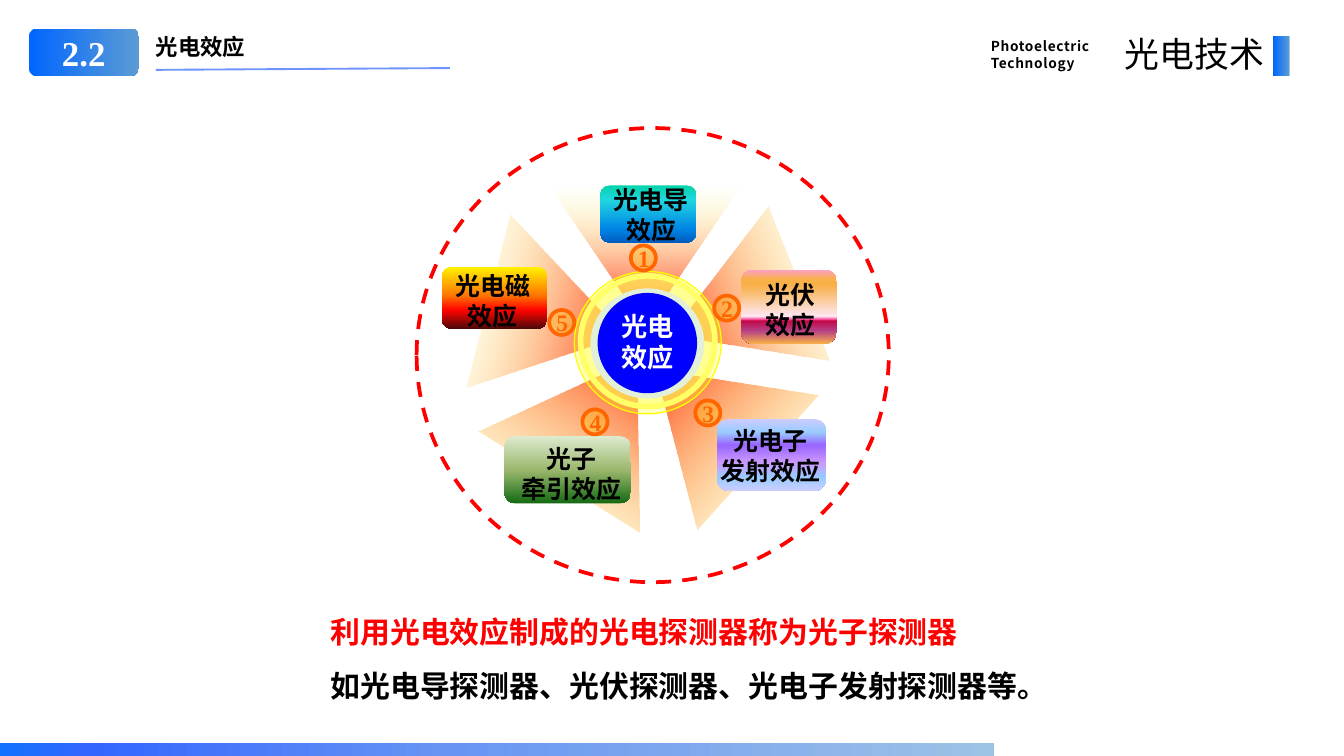
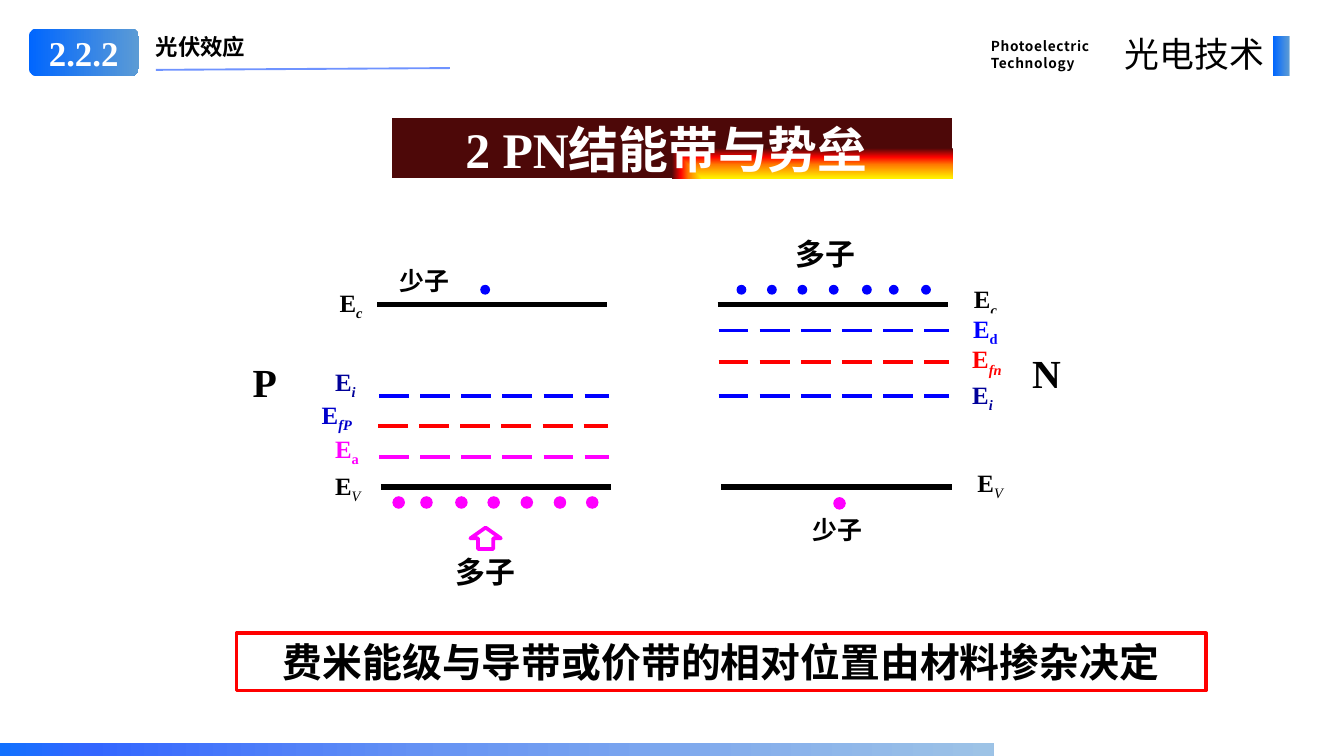
from lxml.etree import SubElement
from pptx import Presentation
from pptx.dml.color import RGBColor
from pptx.enum.dml import MSO_LINE as DASH
from pptx.enum.shapes import MSO_CONNECTOR, MSO_SHAPE as SHAPE
from pptx.enum.text import MSO_ANCHOR as ANCHOR, MSO_AUTO_SIZE as AUTO, PP_ALIGN as ALIGN
from pptx.oxml.ns import qn
from pptx.util import Inches, Pt

HAN, ROMAN = "Noto Sans CJK SC", "Times New Roman"
BLACK, WHITE, RED, BLUE, PINK = "000000", "FFFFFF", "FF0000", "0000FF", "FF00FF"
ORANGE, YELLOW, PALE_YELLOW = "FF6600", "FFFF00", "FFFF66"

# Gradient stops: position, colour and, if needed, opacity in percent
BADGE = [(0, "0066FF"), (100, "5B9BD5")]
FOOTER = [(0, "1271FE"), (9, "3366FF"), (45, "6895F3"), (100, "9DC3E6")]
RAY = [(0, RED), (100, PALE_YELLOW, 0)]
OCEAN = [(0, "03D4A8"), (25, "21D6E0"), (75, "0087E6"), (100, "005CBF")]
SUNSET = [(0, "FC9FCB"), (13, "F8B049"), (21, "F8B049"), (63, "FEE7F2"),
          (67, "F952A0"), (69, "C50849"), (82, "B43E85"), (100, "F8B049")]
LILAC = [(0, "CCCCFF"), (18, "99CCFF"), (36, "9966FF"), (61, "CC99FF"),
         (82, "99CCFF"), (100, "CCCCFF")]
FIRE = [(0, "FFF200"), (45, "FF7A00"), (70, "FF0300"), (100, "4D0808")]
MOSS = [(0, "DDEBCF"), (50, "9CB86E"), (100, "156B13")]


def rgb(value):
    return RGBColor.from_string(value)


def set_alpha(parent, percent):
    color = parent.find(".//" + qn("a:srgbClr"))
    SubElement(color, qn("a:alpha"), val=str(percent * 1000))


def set_gradient(sp, stops, angle=0, corner=False):
    """Linear gradient, or one that spreads from the bottom right corner."""
    sp.fill.gradient()
    grad = sp._element.spPr.find(qn("a:gradFill"))
    for child in list(grad):
        grad.remove(child)
    gs_list = SubElement(grad, qn("a:gsLst"))
    for position, color, *alpha in stops:
        gs = SubElement(gs_list, qn("a:gs"), pos=str(position * 1000))
        SubElement(gs, qn("a:srgbClr"), val=color)
        if alpha:
            set_alpha(gs, alpha[0])
    if corner:
        shade = SubElement(grad, qn("a:path"), {"path": "rect"})
        SubElement(shade, qn("a:fillToRect"), l="100000", t="100000", r="0", b="0")
    else:
        SubElement(grad, qn("a:lin"), ang=str(angle * 60000), scaled="0")


def format_run(r, size=20, color=BLACK, font=HAN, bold=True, italic=False,
               track=0, base=0):
    r.font.size, r.font.bold, r.font.italic = Pt(size), bold, italic
    r.font.color.rgb = rgb(color)
    r.font.name = font
    rpr = r.font._element
    SubElement(rpr, qn("a:ea"), typeface=HAN)
    if track:
        rpr.set("spc", str(int(track * 100)))
    if base:
        rpr.set("baseline", str(base * 1000))


def put_text(sp, *paragraphs, align=ALIGN.LEFT, anchor=ANCHOR.TOP, inset=None,
             spacing=None, fit=True, **run_format):
    """Each paragraph is a string or a list of (text, run changes)."""
    tf = sp.text_frame
    tf.word_wrap = True
    tf.auto_size = AUTO.SHAPE_TO_FIT_TEXT if fit else AUTO.NONE
    tf.vertical_anchor = anchor
    if inset is not None:
        tf.margin_left = tf.margin_right = Inches(inset)
        tf.margin_top = tf.margin_bottom = Inches(inset)
    for i, runs in enumerate(paragraphs):
        p = tf.add_paragraph() if i else tf.paragraphs[0]
        p.alignment = align
        if spacing:
            p.line_spacing = spacing
        for text, changes in [(runs, {})] if isinstance(runs, str) else runs:
            r = p.add_run()
            r.text = text
            format_run(r, **{**run_format, **changes})


class Deck:
    def __init__(self):
        self.prs = Presentation()
        self.prs.slide_width, self.prs.slide_height = Inches(15), Inches(8.44)

    def new_slide(self):
        self.slide = self.prs.slides.add_slide(self.prs.slide_layouts[6])
        self.ungroup()

    def group(self):
        self.shapes = self.slide.shapes.add_group_shape().shapes

    def ungroup(self):
        self.shapes = self.slide.shapes

    def shape(self, kind, box, fill=None, line=None, width=1, dash=None,
              alpha=None, angle=0, corner=False, rotation=0):
        sp = self.shapes.add_shape(kind, *map(Inches, box))
        sp.shadow.inherit = False
        sp.rotation = rotation
        if isinstance(fill, list):
            set_gradient(sp, fill, angle, corner)
        elif fill:
            sp.fill.solid()
            sp.fill.fore_color.rgb = rgb(fill)
            if alpha is not None:
                set_alpha(sp._element.spPr.find(qn("a:solidFill")), alpha)
        else:
            sp.fill.background()
        if line:
            sp.line.color.rgb = rgb(line)
            sp.line.width = Pt(width)
            if dash:
                sp.line.dash_style = dash
        else:
            sp.line.fill.background()
        return sp

    def text(self, box, *paragraphs, **fmt):
        sp = self.shapes.add_textbox(*map(Inches, box))
        put_text(sp, *paragraphs, **fmt)

    def line(self, start, end, color, width, dash=None, alpha=None):
        cx = self.shapes.add_connector(MSO_CONNECTOR.STRAIGHT,
                                       *map(Inches, (*start, *end)))
        cx.line.color.rgb = rgb(color)
        cx.line.width = Pt(width)
        if dash:
            cx.line.dash_style = dash
        sp_pr = cx._element.spPr
        if alpha is not None:
            set_alpha(sp_pr.find(qn("a:ln")), alpha)
        SubElement(sp_pr, qn("a:effectLst"))

    def frame(self, number, title):
        """Header and footer band shared by the slides."""
        self.text((1.64, 0.32, 3.5, 0.4), title, size=18)
        self.text((10.96, 0.36, 1.58, 0.49), "Photoelectric", "Technology",
                  size=11, track=0.5, spacing=Pt(14))
        self.shape(SHAPE.RECTANGLE, (14.21, 0.4, 0.18, 0.45), BADGE)
        badge = self.shape(SHAPE.ROUNDED_RECTANGLE, (0.32, 0.32, 1.23, 0.53), BADGE)
        put_text(badge, number, size=28, font=ROMAN, color=WHITE,
                 align=ALIGN.CENTER, anchor=ANCHOR.MIDDLE, fit=False)
        self.line((1.74, 0.78), (5.02, 0.76), "3366FF", 1.5, alpha=70)
        self.text((12.31, 0.32, 1.9, 0.57), "光电技术", size=28, bold=False,
                  track=0.2, align=ALIGN.RIGHT)
        self.shape(SHAPE.RECTANGLE, (0, 8.3, 11.09, 0.14), FOOTER)


def effects_slide(deck):
    deck.new_slide()
    centred = dict(align=ALIGN.CENTER, inset=0)

    # Conclusion
    note = deck.shape(SHAPE.RECTANGLE, (3.59, 6.6, 8.9, 1.31), WHITE)
    put_text(note, [("利用光电效应制成的光电探测器称为光子探测器", {"color": RED})],
             "如光电导探测器、光伏探测器、光电子发射探测器等。",
             size=24, spacing=1.5, anchor=ANCHOR.MIDDLE)

    # Rays
    for box, rotation in [((7.27, 2.68, 1.85, 1.55), 248.3),
                          ((6.13, 2.08, 2.13, 1.57), 180),
                          ((5.21, 2.77, 1.99, 1.56), 104.2),
                          ((6.88, 3.87, 2.02, 1.54), 312.1),
                          ((5.61, 3.88, 2.12, 1.62), 32.1)]:
        deck.shape(SHAPE.ISOSCELES_TRIANGLE, box, RAY, angle=90, rotation=rotation)

    # Hub
    deck.shape(SHAPE.OVAL, (6.41, 3.03, 1.64, 1.59), YELLOW, YELLOW, 1, alpha=25)
    deck.shape(SHAPE.OVAL, (6.48, 3.08, 1.5, 1.46), PALE_YELLOW, PALE_YELLOW, 4.5,
               alpha=50)
    deck.shape(SHAPE.OVAL, (6.59, 3.22, 1.27, 1.23), "E2F0D9")
    deck.group()
    deck.shape(SHAPE.OVAL, (6.67, 3.27, 1.11, 1.12), BLUE)
    deck.text((6.66, 3.46, 1.13, 0.71), "光电", "效应", size=21, color=WHITE, **centred)

    # Effect labels
    for stops, box, (left, top, width), words in [
            (OCEAN, (6.7, 2.07, 1.07, 0.64), (6.7, 2.06, 1.14), ("光电导", "效应")),
            (SUNSET, (8.27, 3.01, 1.07, 0.83), (8.25, 3.12, 1.14), ("光伏", "效应")),
            (LILAC, (8, 4.68, 1.22, 0.8), (8, 4.75, 1.2), ("光电子", "发射效应")),
            (FIRE, (4.93, 2.98, 1.18, 0.69), (4.94, 3.02, 1.12), ("光电磁", "效应")),
            (MOSS, (5.63, 4.87, 1.41, 0.75), (5.71, 4.95, 1.33), ("光子", "牵引效应"))]:
        deck.group()
        deck.shape(SHAPE.ROUNDED_RECTANGLE, box, stops, angle=90)
        deck.text((left, top, width, 0.67), *words, **centred)
    deck.ungroup()
    deck.shape(SHAPE.OVAL, (4.65, 1.43, 5.27, 5.07), line=RED, width=3, dash=DASH.DASH)

    # Numbers
    spots = [(7.04, 2.74), (7.97, 3.3), (7.76, 4.47), (6.5, 4.57), (6.13, 3.46)]
    for number, (x, y) in enumerate(spots, 1):
        deck.group()
        deck.shape(SHAPE.OVAL, (x, y, 0.28, 0.28), "FFC000", ORANGE, 3, alpha=33)
        deck.text((x + 0.08, y - 0.02, 0.16, 0.32), str(number), size=19,
                  font=ROMAN, color=ORANGE, inset=0)
    deck.ungroup()
    deck.frame("2.2", "光电效应")


def bands_slide(deck):
    deck.new_slide()

    # Title band
    band = deck.shape(SHAPE.RECTANGLE, (4.37, 1.32, 6.26, 0.67), FIRE, corner=True)
    put_text(band, "2 PN结能带与势垒 ", size=40, font=ROMAN, color=WHITE,
             align=ALIGN.CENTER, anchor=ANCHOR.MIDDLE, inset=0)

    # Level names: subscript, colour, box, subscript style
    slanted, upright, light = {"italic": True}, {}, {"italic": True, "bold": False}
    symbol = dict(font=ROMAN, align=ALIGN.JUSTIFY, inset=0, fit=False)
    for sub, color, box, style in [
            ("c", BLACK, (3.79, 3.21, 0.29, 0.34), slanted),
            ("V", BLACK, (3.74, 5.25, 0.34, 0.34), light),
            ("a", PINK, (3.74, 4.84, 0.34, 0.34), upright),
            ("fP", "0000CC", (3.59, 4.46, 0.55, 0.39), slanted),
            ("i", "000099", (3.74, 4.09, 0.37, 0.39), slanted),
            ("c", BLACK, (10.87, 3.17, 0.29, 0.34), slanted),
            ("V", BLACK, (10.91, 5.22, 0.34, 0.34), light),
            ("d", BLUE, (10.86, 3.5, 0.34, 0.34), upright),
            ("fn", RED, (10.85, 3.84, 0.39, 0.39), slanted),
            ("i", "000099", (10.85, 4.24, 0.36, 0.39), slanted)]:
        sp = deck.shape(SHAPE.RECTANGLE, box, WHITE)
        put_text(sp, [("E", {}), (sub, {"base": -25, **style})], color=color, **symbol)

    # Carriers: colour, diameter, top, left edges
    for color, size, top, lefts in [
            (PINK, 0.14, 5.54, (4.38, 4.69, 5.08, 5.44, 5.81, 6.18, 6.54)),
            (PINK, 0.14, 5.55, (9.3,)),
            (BLUE, 0.11, 3.18, (5.36, 8.22, 8.56, 8.9, 9.25, 9.62, 9.92, 10.28))]:
        for left in lefts:
            deck.shape(SHAPE.OVAL, (left, top, size, size), color)

    # Region names
    for name, x, y in [("P", 2.82, 3.99), ("N", 11.52, 3.89)]:
        sp = deck.shape(SHAPE.RECTANGLE, (x, y, 0.39, 0.53), WHITE)
        put_text(sp, name, size=32, **symbol)

    # Conclusion
    note = deck.shape(SHAPE.RECTANGLE, (2.64, 7.07, 10.82, 0.64), line=RED, width=3)
    put_text(note, "费米能级与导带或价带的相对位置由材料掺杂决定", size=32, font=ROMAN,
             align=ALIGN.CENTER, anchor=ANCHOR.MIDDLE)

    # Energy levels: band edges are solid, the others dashed
    for x, y, color in [(8.01, 3.4, BLACK), (4.21, 3.4, BLACK), (4.23, 4.42, BLUE),
                        (4.22, 4.76, RED), (4.23, 5.1, PINK), (4.25, 5.44, BLACK),
                        (8.02, 3.69, BLUE), (8.02, 4.04, RED), (8.02, 4.42, BLUE),
                        (8.05, 5.44, BLACK)]:
        edge = color == BLACK
        deck.line((x, y), (x + 2.57, y), color, 4.5 if edge else 3,
                  None if edge else DASH.LONG_DASH)

    # Carrier names
    for word, x, y, size, height in [("多子", 4.96, 6.18, 24, 0.4),
                                     ("少子", 4.28, 2.97, 20, 0.33),
                                     ("多子", 8.75, 2.63, 24, 0.4),
                                     ("少子", 8.89, 5.74, 20, 0.33)]:
        deck.text((x, y, 0.92, height), word, size=size, font=ROMAN,
                  align=ALIGN.CENTER, inset=0)
    deck.shape(SHAPE.UP_ARROW, (5.25, 5.89, 0.34, 0.24), line=PINK, width=3)
    deck.frame("2.2.2", "光伏效应")


def main():
    deck = Deck()
    effects_slide(deck)
    bands_slide(deck)
    deck.prs.save("out.pptx")


if __name__ == "__main__":
    main()
